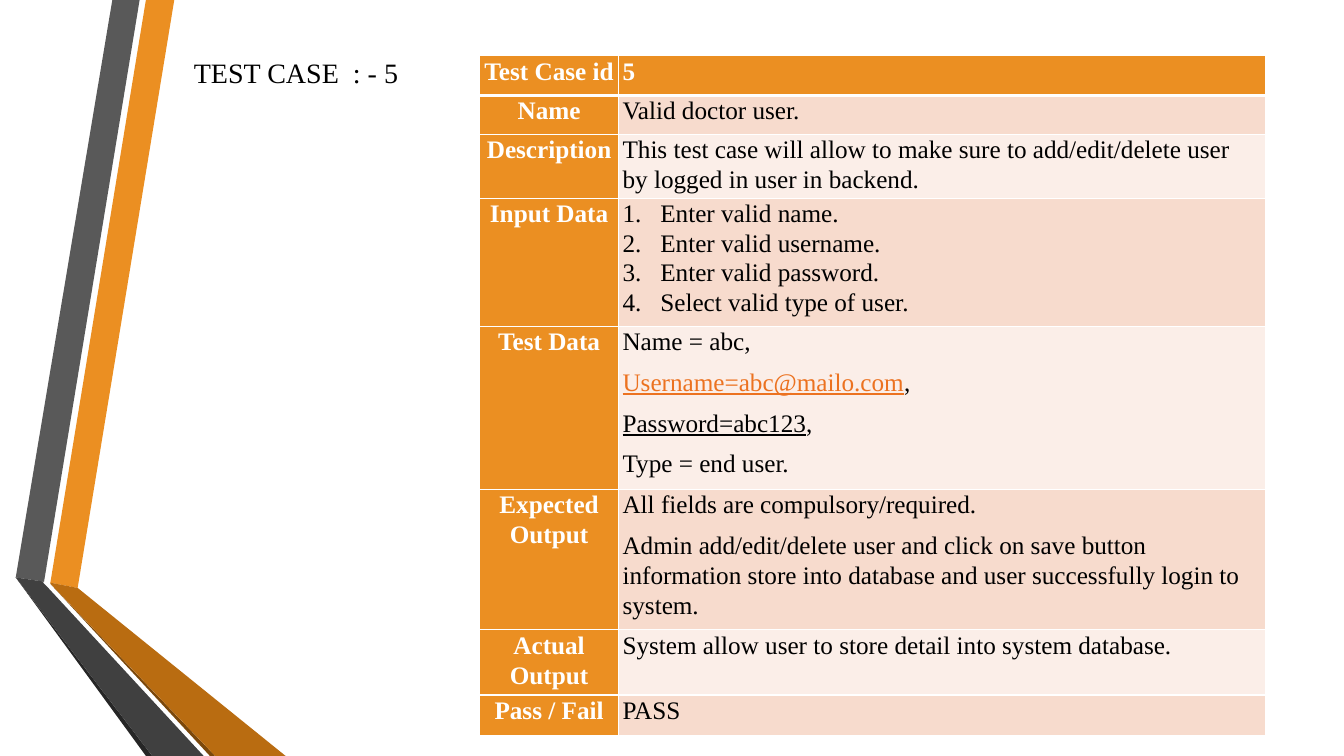
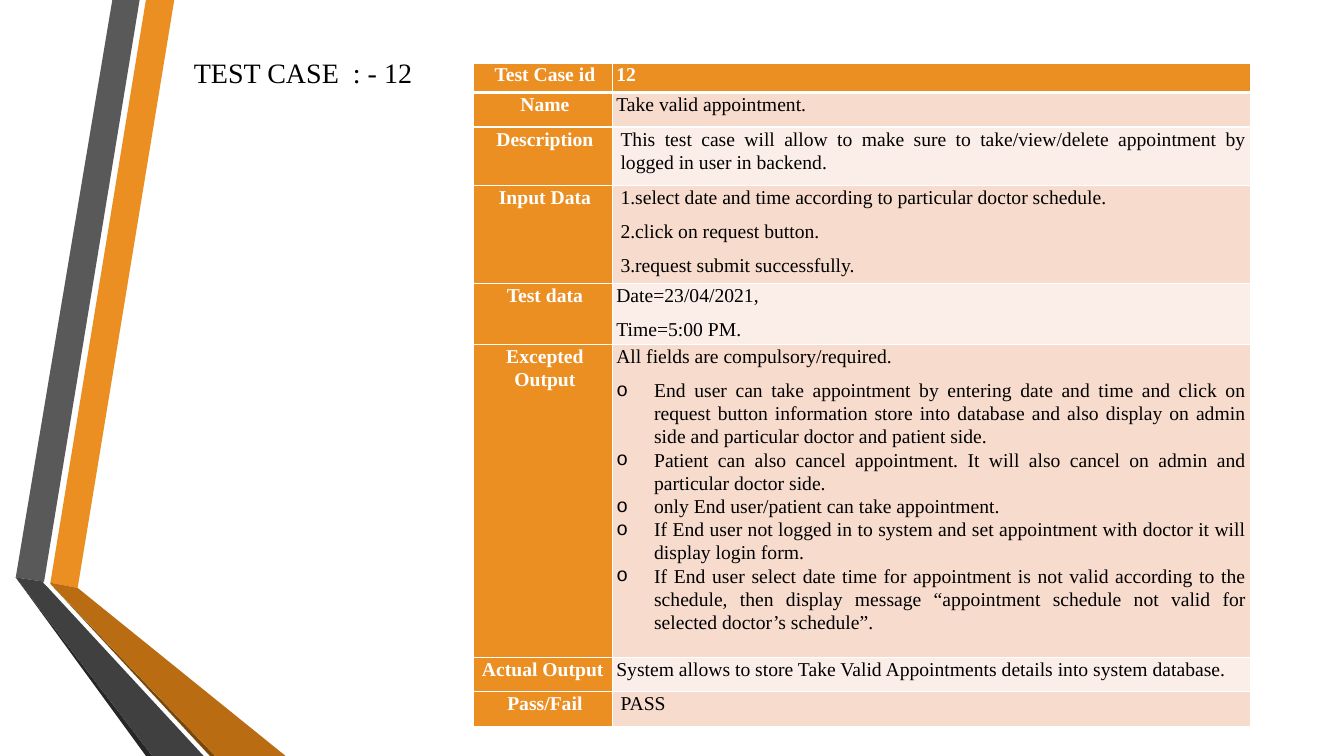
from dataclasses import dataclass

from lxml.etree import SubElement
from pptx import Presentation
from pptx.dml.color import RGBColor
from pptx.enum.text import MSO_ANCHOR, MSO_AUTO_SIZE, PP_ALIGN
from pptx.oxml.ns import qn
from pptx.util import Pt

PX = 9525  # EMU in one px
FONT = "Times New Roman"
WHITE, BLACK = "FFFFFF", "000000"
ORANGE, LINK = "EB8F22", "EC7220"
BANDS = ["FBEEE8", "F7DBCD"]
INSET = 4
LIST_INDENT = 36

# Folded ribbons at the left edge: colour and outline
RIBBONS = [
    (ORANGE, [(48, 555), (74, 560), (166, 0), (139, 0)]),
    ("595959", [(133, 0), (107, 0), (15, 550), (42, 554)]),
    ("262626", [(15, 550), (139, 720), (145, 720)]),
    ("7B480B", [(48, 556), (200, 720), (205, 720)]),
    ("B96C11", [(48, 556), (205, 720), (272, 720), (74, 560), (48, 555)]),
    ("404040", [(194, 720), (46, 560), (41, 555), (42, 554), (15, 550), (145, 720)]),
]


@dataclass
class Item:
    """A paragraph: underlined words, then plain words, with an optional list mark."""
    text: str
    underlined: str = ""
    colour: str = BLACK
    mark: str = ""


@dataclass
class TestCase:
    number: int
    left: int
    top: int
    columns: list
    heights: list
    size: int
    align: PP_ALIGN
    rows: list
    indented_labels: tuple = ()
    indented_bodies: tuple = ()


CASES = [
    TestCase(
        5, 457, 53, [132, 616], [38, 37, 61, 122, 155, 134, 62, 39], 18, PP_ALIGN.LEFT,
        [
            ("Test Case id", [Item("5", colour=WHITE)]),
            ("Name", [Item("Valid doctor user.")]),
            ("Description", [Item("This test case will allow to make sure to add/edit/delete "
                                  "user by logged in user in backend.")]),
            ("Input Data", [Item(text, mark="number") for text in (
                "Enter valid name.", "Enter valid username.",
                "Enter valid password.", "Select valid type of user.")]),
            ("Test Data", [
                Item("Name = abc,"),
                Item(",", "Username=abc@mailo.com", LINK),
                Item(",", "Password=abc123"),
                Item("Type = end user."),
            ]),
            ("Expected Output", [
                Item("All fields are compulsory/required."),
                Item("Admin add/edit/delete user and click on save button information "
                     "store into database and user successfully login to system."),
            ]),
            ("Actual Output", [Item("System allow user to store detail into system database.")]),
            ("Pass / Fail", [Item("PASS")]),
        ],
    ),
    TestCase(
        12, 451, 60, [132, 608], [28, 33, 56, 93, 58, 298, 33, 33], 14, PP_ALIGN.JUSTIFY,
        [
            ("Test Case id", [Item("12", colour=WHITE)]),
            ("Name", [Item("Take valid appointment.")]),
            ("Description", [Item("This test case will allow to make sure to take/view/delete "
                                  "appointment by logged in user in backend.")]),
            ("Input Data", [
                Item("1.select date and time according to particular doctor schedule."),
                Item("2.click on request button."),
                Item("3.request submit successfully."),
            ]),
            ("Test data", [Item("Date=23/04/2021,"), Item("Time=5:00 PM.")]),
            ("Excepted Output", [Item("All fields are compulsory/required.")] + [
                Item(text, mark="bullet") for text in (
                    "End user can take appointment by entering date and time and click on "
                    "request button information store into database and also display on "
                    "admin side and particular doctor and patient side.",
                    "Patient can also cancel appointment. It will also cancel on admin and "
                    "particular doctor side.",
                    "only End user/patient can take appointment.",
                    "If End user not logged in to system and set appointment with doctor it "
                    "will display login form.",
                    "If End user select date time for appointment is not valid according to "
                    "the schedule, then display message “appointment schedule not valid for "
                    "selected doctor’s schedule”.")]),
            ("Actual Output", [Item("System allows to store Take Valid Appointments details "
                                    "into system database.")]),
            ("Pass/Fail", [Item("PASS")]),
        ],
        indented_labels=(0, 1, 2, 3, 4, 5, 7),
        indented_bodies=(2, 3, 7),
    ),
]


def px(length):
    return int(length * PX)


def rgb(colour):
    return RGBColor.from_string(colour)


def paint(thing, colour):
    thing.fill.solid()
    thing.fill.fore_color.rgb = rgb(colour)


def style_font(font, size, colour, bold=False):
    font.name = FONT
    font.size = Pt(size)
    font.bold = bold
    font.color.rgb = rgb(colour)


def prepare_layout(layout):
    """Keep only the title placeholder and put it beside the ribbons."""
    for holder in list(layout.placeholders):
        if holder.placeholder_format.idx != 0:
            holder.element.getparent().remove(holder.element)
            continue
        holder.left, holder.top = px(175), px(48)
        holder.width, holder.height = px(240), px(42)


def add_ribbons(page, layout):
    """Draw the ribbons and move them to the layout, behind its title."""
    for index, (colour, points) in enumerate(RIBBONS):
        builder = page.shapes.build_freeform(*points[0], scale=PX)
        builder.add_line_segments(points[1:], close=True)
        ribbon = builder.convert_to_shape()
        ribbon.name = f"Ribbon {index + 1}"
        ribbon.shadow.inherit = False
        ribbon.line.fill.background()
        paint(ribbon, colour)
        layout.shapes.element.insert(2 + index, ribbon.element)


def set_title(page, text):
    frame = page.shapes.title.text_frame
    frame.text = text
    frame.word_wrap = True
    frame.auto_size = MSO_AUTO_SIZE.NONE
    frame.vertical_anchor = MSO_ANCHOR.TOP
    para = frame.paragraphs[0]
    para.alignment = PP_ALIGN.LEFT
    style_font(para.runs[0].font, 20, BLACK)


def set_borders(cell, row):
    """White rules; the one under the header row is thicker."""
    widths = {"lnL": 1, "lnR": 1, "lnT": 3 if row == 1 else 1, "lnB": 3 if row == 0 else 1}
    properties = cell._tc.get_or_add_tcPr()
    for side, width in widths.items():
        line = SubElement(properties, qn(f"a:{side}"), w=str(Pt(width)))
        SubElement(SubElement(line, qn("a:solidFill")), qn("a:srgbClr"), val=WHITE)


def set_indent(para, left, mark=""):
    properties = para._p.get_or_add_pPr()
    properties.set("marL", str(px(left)))
    properties.set("indent", str(-px(left) if mark else 0))
    if mark == "number":
        SubElement(properties, qn("a:buFont"), typeface="+mj-lt")
        SubElement(properties, qn("a:buAutoNum"), type="arabicPeriod")
    elif mark == "bullet":
        SubElement(properties, qn("a:buFont"), typeface="Courier New")
        SubElement(properties, qn("a:buChar"), char="o")


def fill_cell(cell, items, row, size, align, indent, colour, bold):
    set_borders(cell, row)
    paint(cell, colour)
    cell.margin_left = cell.margin_right = px(INSET)
    cell.margin_top = cell.margin_bottom = 0
    cell.vertical_anchor = MSO_ANCHOR.TOP
    frame = cell.text_frame
    for index, item in enumerate(items):
        para = frame.paragraphs[0] if index == 0 else frame.add_paragraph()
        set_indent(para, LIST_INDENT if item.mark else indent, item.mark)
        para.alignment = align
        para.line_spacing = 1.06 if row in (3, 4) else 1.07
        inside_list = item.mark and index < len(items) - 1
        para.space_after = Pt(0 if inside_list else 8)
        if item.underlined:
            span = para.add_run()
            span.text = item.underlined
            style_font(span.font, size, item.colour, bold)
            span.font.underline = True
        span = para.add_run()
        span.text = item.text
        style_font(span.font, size, BLACK if item.underlined else item.colour, bold)


def add_case_table(page, case):
    frame = page.shapes.add_table(
        len(case.rows), len(case.columns), px(case.left), px(case.top),
        px(sum(case.columns)), px(sum(case.heights)))
    table = frame.table
    table.horz_banding = False
    for column, width in zip(table.columns, case.columns):
        column.width = px(width)
    for row, (label, items) in enumerate(case.rows):
        header = row == 0
        table.rows[row].height = px(case.heights[row])
        fill_cell(table.cell(row, 0), [Item(label, colour=WHITE)], row, case.size,
                  PP_ALIGN.CENTER, INSET if row in case.indented_labels else 0, ORANGE, True)
        fill_cell(table.cell(row, 1), items, row, case.size,
                  PP_ALIGN.LEFT if header else case.align,
                  INSET if row in case.indented_bodies else 0,
                  ORANGE if header else BANDS[row % 2], header)


def main():
    deck = Presentation()
    deck.slide_width, deck.slide_height = px(1280), px(720)
    layout = deck.slide_layouts.get_by_name("Title Only")
    prepare_layout(layout)
    pages = [deck.slides.add_slide(layout) for _ in CASES]
    add_ribbons(pages[0], layout)
    for page, case in zip(pages, CASES):
        set_title(page, f"TEST CASE  : - {case.number}")
        add_case_table(page, case)
    deck.save("out.pptx")


if __name__ == "__main__":
    main()
